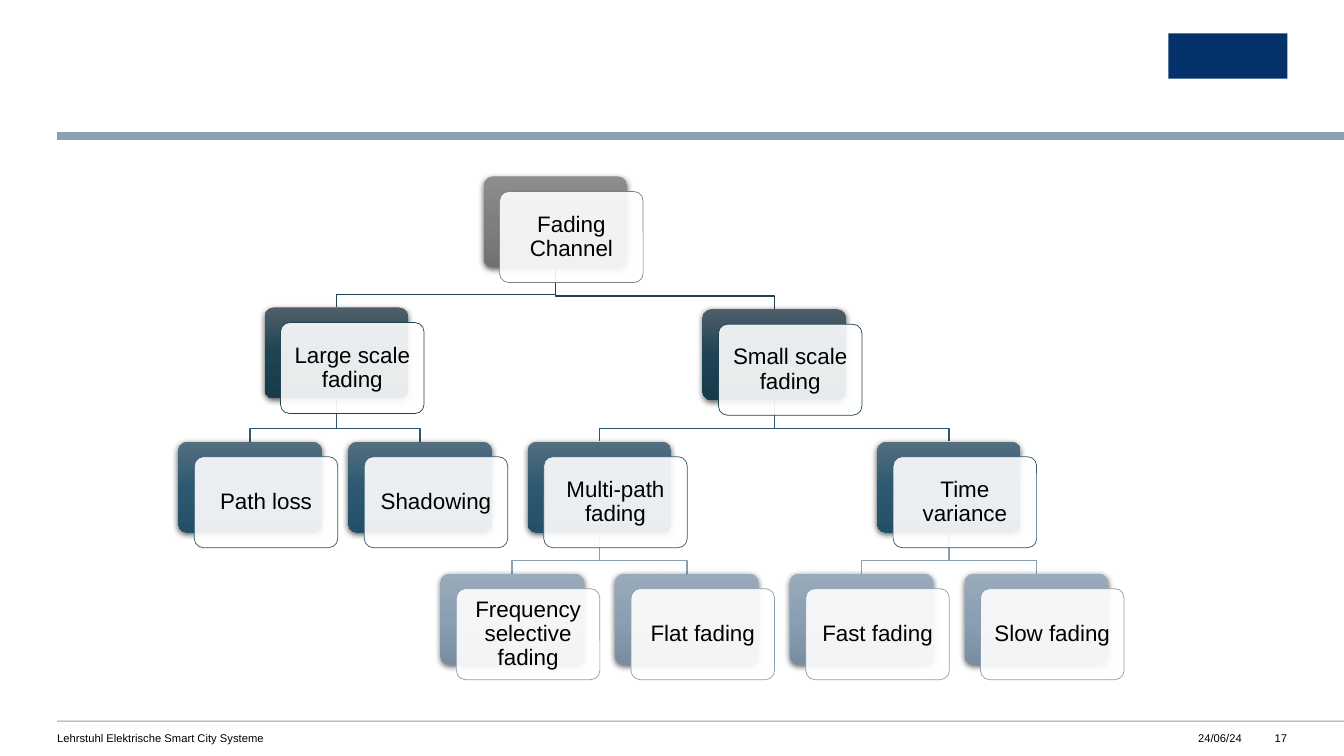
import copy
from dataclasses import dataclass, field
from typing import Any

import pptx
import pptx.dml.color
import pptx.enum.shapes
import pptx.enum.text
import pptx.oxml
import pptx.oxml.ns
import pptx.util

Pt = pptx.util.Pt
ShapeKind = pptx.enum.shapes.MSO_SHAPE
Align = pptx.enum.text.PP_ALIGN
Anchor = pptx.enum.text.MSO_ANCHOR


@dataclass(frozen=True)
class Level:
    top: float
    outline: str
    gradient: tuple[str, str, str]


@dataclass(frozen=True)
class Theme:
    font: str = "Arial"
    ink: str = "000000"
    card: str = "FFFFFF"
    rule: str = "8C9FB1"
    emblem: str = "04316A"
    card_size: float = 16
    footer_size: float = 8


@dataclass(frozen=True)
class Topic:
    label: str
    left: float
    level: Level
    children: list["Topic"] = field(default_factory=list)
    drop: float = 0

    @property
    def top(self) -> float:
        return self.level.top + self.drop

    @property
    def centre(self) -> float:
        return self.left + CARD_WIDTH / 2


@dataclass(frozen=True)
class FooterItem:
    wording: str
    left: float
    width: float
    align: Any


# Theme, sizes and levels
THEME = Theme()
CARD_WIDTH, CARD_HEIGHT = 102.5, 65
FRONT_SHIFT_X, FRONT_SHIFT_Y = 11.4, 10.8
ELBOW_RISE = 9.4
ROOT = Level(126, "7F7F7F", ("8D8D8D", "7F7F7F", "717171"))
SCALE = Level(219.6, "204251", ("4F5F6A", "1E4353", "183C4C"))
EFFECT = Level(315.4, "2F586E", ("556E80", "2C5971", "245067"))
KIND = Level(409.7, "8C9FB1", ("99AABA", "8A9FB3", "798DA1"))

# The four lowest topics stand at equal steps
kind_lefts = [314.6 + 124.8 * step for step in range(4)]

FADING = Topic("Fading Channel", 345.5, ROOT, [
    Topic("Large scale fading", 189, SCALE, [
        Topic("Path loss", 127.4, EFFECT),
        Topic("Shadowing", 248.8, EFFECT),
    ]),
    Topic("Small scale fading", 501.8, SCALE, [
        Topic("Multi-path fading", 377, EFFECT, [
            Topic("Frequency selective fading", kind_lefts[0], KIND),
            Topic("Flat fading", kind_lefts[1], KIND),
        ]),
        Topic("Time variance", 626.6, EFFECT, [
            Topic("Fast fading", kind_lefts[2], KIND),
            Topic("Slow fading", kind_lefts[3], KIND),
        ]),
    ], drop=1.2),
])

FOOTER = [
    FooterItem("24/06/24", 820.1, 67, Align.RIGHT),
    FooterItem("Lehrstuhl Elektrische Smart City Systeme", 40.8, 430, Align.LEFT),
    FooterItem("17", 904.3, 15.1, Align.RIGHT),
]


def rgb(value: str) -> pptx.dml.color.RGBColor:
    return pptx.dml.color.RGBColor.from_string(value)


def apply(target: Any, values: dict[str, Any]) -> None:
    for name, value in values.items():
        setattr(target, name, value)


def write(shape: Any, wording: str, size: float, align: Any, anchor: Any,
          inset: float, spacing: float) -> None:
    frame = shape.text_frame
    margins = ("margin_left", "margin_right", "margin_top", "margin_bottom")
    apply(frame, {"word_wrap": True, "vertical_anchor": anchor,
                  **{margin: Pt(inset) for margin in margins}})
    paragraph = frame.paragraphs[0]
    apply(paragraph, {"text": wording, "alignment": align, "line_spacing": spacing})
    apply(paragraph.runs[0].font, {"name": THEME.font, "size": Pt(size)})
    paragraph.runs[0].font.color.rgb = rgb(THEME.ink)


def add_block(slide: Any, kind: Any, left: float, top: float,
              width: float, height: float) -> Any:
    block = slide.shapes.add_shape(kind, Pt(left), Pt(top), Pt(width), Pt(height))
    block.shadow.inherit = False
    block.line.fill.background()
    if kind == ShapeKind.ROUNDED_RECTANGLE:
        block.adjustments[0] = 0.1
    return block


def add_band(slide: Any, left: float, top: float, width: float,
             height: float, colour: str) -> None:
    band = add_block(slide, ShapeKind.RECTANGLE, left, top, width, height)
    band.fill.solid()
    band.fill.fore_color.rgb = rgb(colour)


def shade(block: Any, colours: tuple[str, str, str]) -> None:
    """Three-stop vertical gradient with a soft shadow."""
    block.fill.gradient()
    block.fill.gradient_angle = 270
    stops = block.element.spPr.find(".//" + pptx.oxml.ns.qn("a:gsLst"))
    stops.append(copy.deepcopy(stops[-1]))
    for stop, colour, position in zip(block.fill.gradient_stops, colours, (0, 0.5, 1)):
        stop.color.rgb = rgb(colour)
        stop.position = position
    effects = block.element.spPr.find(pptx.oxml.ns.qn("a:effectLst"))
    effects.append(pptx.oxml.parse_xml(
        f'<a:outerShdw {pptx.oxml.ns.nsdecls("a")} blurRad="{Pt(4.5)}" '
        f'dist="{Pt(1.5)}" dir="5400000" algn="ctr" rotWithShape="0">'
        '<a:srgbClr val="000000"><a:alpha val="63000"/></a:srgbClr></a:outerShdw>'))


def add_branch(slide: Any, parent: Topic, child: Topic) -> None:
    elbow = child.top - ELBOW_RISE
    builder = slide.shapes.build_freeform(
        Pt(parent.centre), Pt(parent.top + CARD_HEIGHT))
    builder.add_line_segments(
        [(Pt(parent.centre), Pt(elbow)), (Pt(child.centre), Pt(elbow)),
         (Pt(child.centre), Pt(child.top))], close=False)
    branch = builder.convert_to_shape()
    branch.shadow.inherit = False
    branch.fill.background()
    branch.line.color.rgb = rgb(child.level.outline)
    branch.line.width = Pt(1)


def add_branches(slide: Any, parent: Topic) -> None:
    for child in parent.children:
        add_branches(slide, child)
        add_branch(slide, parent, child)


def add_cards(slide: Any, topic: Topic) -> None:
    back = add_block(slide, ShapeKind.ROUNDED_RECTANGLE, topic.left, topic.top,
                     CARD_WIDTH, CARD_HEIGHT)
    shade(back, topic.level.gradient)
    front = add_block(slide, ShapeKind.ROUNDED_RECTANGLE, topic.left + FRONT_SHIFT_X,
                      topic.top + FRONT_SHIFT_Y, CARD_WIDTH, CARD_HEIGHT)
    front.fill.solid()
    front.fill.fore_color.rgb = rgb(THEME.card)
    fill_colour = front.element.spPr.find(".//" + pptx.oxml.ns.qn("a:srgbClr"))
    fill_colour.append(pptx.oxml.parse_xml(
        f'<a:alpha {pptx.oxml.ns.nsdecls("a")} val="90000"/>'))
    front.line.color.rgb = rgb(topic.level.outline)
    front.line.width = Pt(0.5)
    write(front, topic.label, THEME.card_size, Align.CENTER, Anchor.MIDDLE, 6.2, 0.9)
    for child in topic.children:
        add_cards(slide, child)


def main() -> None:
    deck = pptx.Presentation()
    apply(deck, {"slide_width": Pt(960), "slide_height": Pt(540)})
    slide = deck.slides.add_slide(deck.slide_layouts[6])

    # Header and footer bands, emblem block
    add_band(slide, 40.8, 94.3, 919.2, 5.7, THEME.rule)
    add_band(slide, 40.8, 514.8, 919.2, 0.7, THEME.rule)
    add_band(slide, 834.5, 23.8, 85, 32.4, THEME.emblem)

    # Footer wording
    for item in FOOTER:
        footer = slide.shapes.add_textbox(Pt(item.left), Pt(522.7), Pt(item.width), Pt(9.4))
        write(footer, item.wording, THEME.footer_size, item.align, Anchor.TOP, 0, 1.0)

    # Fading tree
    add_branches(slide, FADING)
    add_cards(slide, FADING)
    deck.save("out.pptx")


if __name__ == "__main__":
    main()
